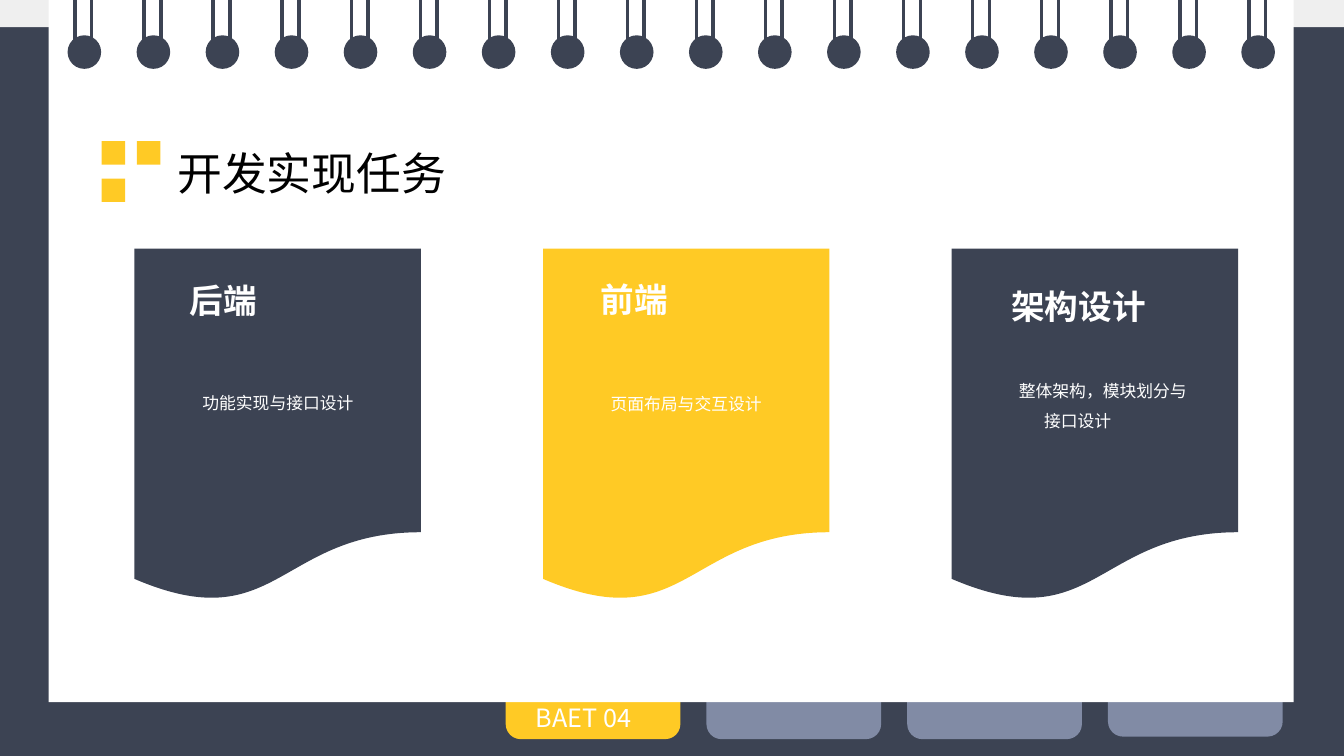
from dataclasses import dataclass

from lxml import etree
from pptx import Presentation
from pptx.dml.color import RGBColor
from pptx.enum.shapes import MSO_CONNECTOR, MSO_SHAPE
from pptx.enum.text import MSO_ANCHOR, MSO_AUTO_SIZE, PP_ALIGN
from pptx.oxml.ns import qn
from pptx.shapes.autoshape import Shape
from pptx.slide import Slide
from pptx.text.text import TextFrame
from pptx.util import Emu, Inches, Pt

RECT = MSO_SHAPE.RECTANGLE
ROUNDED = MSO_SHAPE.ROUNDED_RECTANGLE
OVAL = MSO_SHAPE.OVAL
DOCUMENT = MSO_SHAPE.FLOWCHART_DOCUMENT
STRAIGHT = MSO_CONNECTOR.STRAIGHT
TOP = MSO_ANCHOR.TOP
NO_RESIZE = MSO_AUTO_SIZE.NONE
LEFT, CENTER, JUSTIFY = PP_ALIGN.LEFT, PP_ALIGN.CENTER, PP_ALIGN.JUSTIFY

NAVY, YELLOW, LAVENDER = "3C4353", "FFCA25", "818BA5"
PALE, WHITE, BLACK = "EFEFEF", "FFFFFF", "000000"

# The slide is a grid of square cells, 160 columns by 90 rows
COLUMNS, ROWS = 160, 90
SLIDE_WIDTH, SLIDE_HEIGHT = Inches(40 / 3), Inches(7.5)
CELL = SLIDE_HEIGHT / ROWS

RING_COUNT, RING_FIRST, RING_STEP, RING_SIZE = 18, 8.04, 8.22, 4
TAB_FIRST, TAB_STEP = 60.2, 23.9
CARD_FIRST, CARD_STEP = 16, 48.65


@dataclass(frozen=True)
class Area:
    """A block of grid cells."""
    column: float
    row: float
    columns: float
    rows: float


@dataclass(frozen=True)
class TextStyle:
    size: float
    color: str = WHITE
    font: str = "Arial"
    bold: bool = False
    align: PP_ALIGN = JUSTIFY
    indent: float = 0
    line_spacing: float = 1


@dataclass(frozen=True)
class Tab:
    color: str
    row: float = 77.2


@dataclass(frozen=True)
class Card:
    color: str
    heading: str
    heading_at: tuple[float, float]
    body: str
    body_at: tuple[float, float]
    body_rows: float = 4.44


TITLE_STYLE = TextStyle(32, BLACK, align=LEFT)
TAB_STYLE = TextStyle(18, font="Noto Sans CJK SC")
HEADING_STYLE = TextStyle(24, bold=True)
BODY_STYLE = TextStyle(12, align=CENTER, indent=6, line_spacing=1.5)

TABS = [Tab(YELLOW), Tab(LAVENDER), Tab(LAVENDER), Tab(LAVENDER, 76.9)]
MARKERS = [(12.1, 16.8), (16.3, 16.8), (12.1, 21.25)]
CARDS = [
    Card(NAVY, "后端", (21.4, 32.75), "功能实现与接口设计", (15.1, 45)),
    Card(YELLOW, "前端", (70.35, 32.65), "页面布局与交互设计", (63.7, 45.1)),
    Card(NAVY, "架构设计", (119.2, 33.5), "整体架构，模块划分与接口设计",
         (113.3, 43.55), 8.04),
]


def rgb(hex_color: str) -> RGBColor:
    return RGBColor.from_string(hex_color)


def cells(count: float) -> Emu:
    return Emu(round(count * CELL))


def box(area: Area) -> tuple[Emu, Emu, Emu, Emu]:
    return (cells(area.column), cells(area.row),
            cells(area.columns), cells(area.rows))


def add_block(slide: Slide, kind: MSO_SHAPE, area: Area, color: str) -> None:
    block = slide.shapes.add_shape(kind, *box(area))
    block.shadow.inherit = False
    block.fill.solid()
    block.fill.fore_color.rgb = rgb(color)
    block.line.fill.background()


def add_wire(slide: Slide, column: float) -> None:
    """Draw one vertical binder wire from the top edge into its hole."""
    x = cells(column)
    wire = slide.shapes.add_connector(STRAIGHT, x, cells(-0.2), x, cells(6.1))
    wire.line.color.rgb = rgb(NAVY)
    wire.line.width = Pt(2.5)
    etree.SubElement(wire.element.spPr, qn("a:effectLst"))


def write(frame: TextFrame, text: str, style: TextStyle) -> None:
    frame.word_wrap = True
    frame.auto_size = NO_RESIZE
    frame.vertical_anchor = TOP
    paragraph = frame.paragraphs[0]
    paragraph.alignment = style.align
    paragraph.line_spacing = style.line_spacing
    if style.indent:
        properties = paragraph._p.get_or_add_pPr()
        properties.set("marL", "0")
        properties.set("indent", str(cells(style.indent)))
    run = paragraph.add_run()
    run.text = text
    run.font.name = style.font
    run.font.size = Pt(style.size)
    run.font.bold = style.bold
    run.font.color.rgb = rgb(style.color)


def add_label(slide: Slide, area: Area, text: str, style: TextStyle) -> None:
    write(slide.shapes.add_textbox(*box(area)).text_frame, text, style)


def place_title(title: Shape, area: Area, text: str) -> None:
    """Fill the title placeholder and bring it in front of the page."""
    title.left, title.top, title.width, title.height = box(area)
    write(title.text_frame, text, TITLE_STYLE)
    title.element.getparent().append(title.element)


def draw_backdrop(slide: Slide) -> None:
    add_block(slide, RECT, Area(0, 0, COLUMNS, ROWS), NAVY)
    add_block(slide, RECT, Area(0, 0, COLUMNS, 3.25), PALE)
    for index, tab in enumerate(TABS):
        column = TAB_FIRST + index * TAB_STEP
        add_block(slide, ROUNDED, Area(column, tab.row, 20.8, 10.8), tab.color)
    add_label(slide, Area(62.6, 83.05, 16, 4.8), "BAET 04", TAB_STYLE)


def draw_notebook_page(slide: Slide) -> None:
    add_block(slide, RECT, Area(5.8, 0, 148.2, 83.6), WHITE)
    for index in range(RING_COUNT):
        column = RING_FIRST + index * RING_STEP
        add_block(slide, OVAL, Area(column, 4.2, RING_SIZE, RING_SIZE), NAVY)
        for offset in (0.9, 2.88):
            add_wire(slide, column + offset)


def draw_card(slide: Slide, index: int, card: Card) -> None:
    column = CARD_FIRST + index * CARD_STEP
    add_block(slide, DOCUMENT, Area(column, 29.6, 34.1, 42.1), card.color)
    add_label(slide, Area(*card.heading_at, 21.5, 6), card.heading, HEADING_STYLE)
    add_label(slide, Area(*card.body_at, 30, card.body_rows), card.body, BODY_STYLE)


def main() -> None:
    deck = Presentation()
    deck.slide_width, deck.slide_height = SLIDE_WIDTH, SLIDE_HEIGHT
    slide = deck.slides.add_slide(deck.slide_layouts.get_by_name("Title Only"))

    draw_backdrop(slide)
    draw_notebook_page(slide)
    for column, row in MARKERS:
        add_block(slide, RECT, Area(column, row, 2.8, 2.8), YELLOW)
    place_title(slide.shapes.title, Area(19.9, 16.8, 41.4, 7.7), "开发实现任务")
    for index, card in enumerate(CARDS):
        draw_card(slide, index, card)

    deck.save("out.pptx")


if __name__ == "__main__":
    main()
